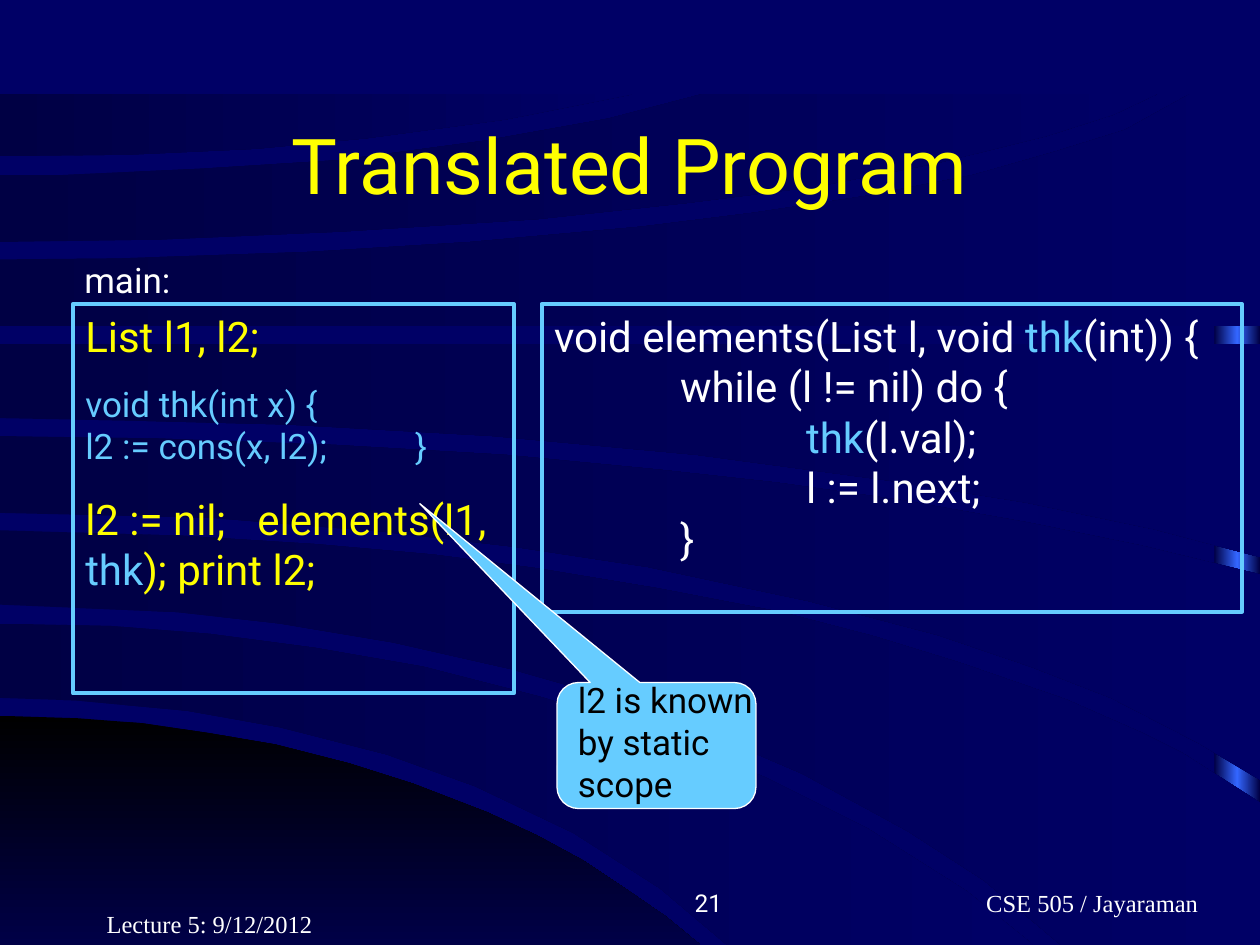
from copy import deepcopy
from dataclasses import dataclass

from lxml import etree
from pptx import Presentation
from pptx.dml.color import RGBColor
from pptx.enum.shapes import MSO_SHAPE
from pptx.enum.text import MSO_ANCHOR, MSO_AUTO_SIZE, PP_ALIGN
from pptx.oxml.ns import qn
from pptx.util import Cm, Pt

RECT = MSO_SHAPE.RECTANGLE
CALL = MSO_SHAPE.ROUNDED_RECTANGULAR_CALLOUT
LEFT, MID, RIGHT = PP_ALIGN.LEFT, PP_ALIGN.CENTER, PP_ALIGN.RIGHT
TOP, CENTER, BOTTOM = MSO_ANCHOR.TOP, MSO_ANCHOR.MIDDLE, MSO_ANCHOR.BOTTOM
FIXED = MSO_AUTO_SIZE.NONE

HUES = {
    "navy": "000066", "deep": "000044", "dusk": "000047", "black": "000000",
    "glow": "3366FF", "sky": "66CCFF", "gold": "FFFF00", "white": "FFFFFF",
}
SANS, SERIF = "Roboto", "Times New Roman"
WIDE, HIGH = 25.4, 19.05

# Outlines of the curved backdrop, in centimetres, from back to front
HILL = [
    (0, 14.43), (1.57, 14.48), (2.87, 14.58), (4.22, 14.78), (5.56, 15.01),
    (7.04, 15.39), (8.33, 15.8), (9.83, 16.38), (10.82, 16.84), (11.76, 17.35),
    (12.6, 17.91), (13.44, 18.49), (14.12, HIGH), (0, HIGH),
]
BANDS = [
    [(0, 12.57), (2.24, 12.62), (4.24, 12.78), (6.35, 13.06), (8.53, 13.44),
     (10.9, 14.05), (13.11, 14.73), (15.42, 15.67), (17.5, 16.71),
     (19.48, 17.96), (20.83, HIGH), (14.66, HIGH), (13.31, 17.91),
     (11.56, 16.79), (9.58, 15.85), (7.8, 15.21), (5.64, 14.66),
     (3.78, 14.33), (1.52, 14.12), (0, 14.07)],
    [(0, 10.69), (3.68, 10.8), (6.38, 10.97), (8.74, 11.18), (10.85, 11.46),
     (13.26, 11.86), (15.75, 12.34), (17.63, 12.83), (19.35, 13.36),
     (21.49, 14.1), (22.99, 14.76), (23.85, 15.19), (WIDE, 16.18),
     (WIDE, HIGH), (21.39, HIGH), (19.84, 17.75), (18.31, 16.76),
     (16.18, 15.6), (14.27, 14.78), (12.27, 14.05), (10.31, 13.49),
     (7.92, 12.95), (5.64, 12.57), (3.58, 12.34), (0, 12.19)],
    [(0, 8.79), (3.18, 8.84), (6.76, 8.97), (10.19, 9.17), (13.31, 9.47),
     (15.67, 9.73), (18.16, 10.08), (20.75, 10.54), (23.01, 11),
     (WIDE, 11.58), (WIDE, 15.72), (24.18, 14.99), (22.4, 14.07),
     (20.78, 13.44), (18.9, 12.8), (16.31, 12.12), (13.06, 11.43),
     (10.34, 11.02), (7.72, 10.72), (4.27, 10.44), (0, 10.34)],
    [(0, 6.93), (WIDE, 6.93), (WIDE, 11.23), (23.27, 10.67), (20.68, 10.13),
     (17.86, 9.68), (14.05, 9.17), (9.91, 8.79), (5.82, 8.56), (2.64, 8.48),
     (0, 8.43)],
    [(0, 5.23), (0, 6.58), (WIDE, 6.58), (WIDE, 1.9), (23.98, 1.9),
     (22.68, 2.62), (21.23, 3.07), (19.61, 3.53), (17.4, 3.96),
     (15.19, 4.29), (12.93, 4.57), (9.47, 4.88), (6.22, 5.08), (2.39, 5.21)],
    [(0, 3.53), (0, 4.88), (3.23, 4.83), (6.88, 4.67), (10.82, 4.42),
     (13.87, 4.09), (16.48, 3.76), (18.85, 3.3), (21.11, 2.74),
     (22.45, 2.31), (23.32, 1.9), (14.15, 1.9), (12.27, 2.39), (9.75, 2.84),
     (6.81, 3.23), (4.09, 3.4), (1.24, 3.53)],
    [(0, 1.9), (0, 3.15), (2.59, 3.12), (5.16, 3), (7.37, 2.79),
     (10.19, 2.41), (12.75, 1.9)],
]


@dataclass
class Para:
    """A paragraph: (text, hue) runs and its own spacing."""
    runs: list
    size: int = 24
    before: float = 0
    indent: float = 0
    tab: float = 0


def rgb(hue):
    """Look up a colour by name."""
    return RGBColor.from_string(HUES[hue])


def write(shape, paras, font=SANS, align=LEFT, anchor=TOP, wrap=True,
          left=0.25, right=0.25):
    """Fill a shape with formatted paragraphs."""
    frame = shape.text_frame
    frame.auto_size, frame.word_wrap = FIXED, wrap
    frame.vertical_anchor = anchor
    frame.margin_left, frame.margin_right = Cm(left), Cm(right)
    frame.margin_top = frame.margin_bottom = Cm(0.13)
    for i, item in enumerate(paras):
        para = frame.paragraphs[0] if i == 0 else frame.add_paragraph()
        para.alignment, para.space_before = align, Pt(item.before)
        props = para._p.get_or_add_pPr()
        if item.indent:
            props.set("marL", str(Cm(item.indent)))
        if item.tab:
            tabs = etree.SubElement(props, qn("a:tabLst"))
            etree.SubElement(tabs, qn("a:tab"), pos=str(Cm(item.tab)), algn="l")
        for text, hue in item.runs:
            run = para.add_run()
            run.text = text
            run.font.name, run.font.size = font, Pt(item.size)
            run.font.color.rgb = rgb(hue)


class Deck:
    """Holds the file, the current slide and the house style."""

    def __init__(self):
        """Open a deck with one titled slide on navy."""
        self.file = Presentation()
        self.file.slide_width, self.file.slide_height = Cm(WIDE), Cm(HIGH)
        self.slide = self.file.slides.add_slide(self.file.slide_layouts[5])
        ground = self.slide.background.fill
        ground.solid()
        ground.fore_color.rgb = rgb("navy")
        self.shapes = self.slide.shapes

    def blend(self, shape, hues, angle=0):
        """Give a shape an even gradient and no line."""
        shape.shadow.inherit = False
        shape.line.fill.background()
        shape.fill.gradient()
        shape.fill.gradient_angle = angle
        stops = shape._element.spPr.find(".//" + qn("a:gsLst"))
        for _ in hues[2:]:
            stops.insert(1, deepcopy(stops[0]))
        for i, (stop, hue) in enumerate(zip(shape.fill.gradient_stops, hues)):
            stop.color.rgb = rgb(hue)
            stop.position = i / (len(hues) - 1)

    def band(self, points, hues, angle=0):
        """Draw a closed outline with a gradient."""
        spots = [(Cm(x), Cm(y)) for x, y in points]
        pen = self.shapes.build_freeform(*spots[0])
        pen.add_line_segments(spots[1:], close=True)
        self.blend(pen.convert_to_shape(), hues, angle)

    def box(self, place, kind=RECT, fill=None, line="sky", width=2.25):
        """Draw a preset shape with a plain fill and line."""
        shape = self.shapes.add_shape(kind, *map(Cm, place))
        shape.shadow.inherit = False
        if fill:
            shape.fill.solid()
            shape.fill.fore_color.rgb = rgb(fill)
        else:
            shape.fill.background()
        shape.line.color.rgb, shape.line.width = rgb(line), Pt(width)
        return shape

    def text(self, place, paras, **style):
        """Place a text box."""
        write(self.shapes.add_textbox(*map(Cm, place)), paras, **style)

    def title(self, place, words):
        """Fill the title placeholder and bring it to the front."""
        head = self.shapes.title
        head.left, head.top, head.width, head.height = map(Cm, place)
        write(head, [Para([(words, "gold")], 44)], align=MID, anchor=CENTER)
        head._element.getparent().append(head._element)


deck = Deck()
strip = deck.box((24.48, 1.95, 0.92, 17.1))
deck.blend(strip, ["deep", "glow", "deep"])
deck.band(HILL, ["black", "dusk"], angle=270)
for points in BANDS:
    deck.band(points, ["deep", "navy"])

deck.title((1.9, 1.7, 21.6, 3.18), "Translated Program")
deck.text((1.45, 5.08, 2.36, 1.12), [Para([("main:", "white")], 20)], wrap=False)

main = deck.box((1.47, 6.13, 8.89, 7.85))
write(main, [
    Para([("List l1, l2;", "gold")]),
    Para([("void thk(int x) {", "sky")], 20, before=12.5),
    Para([("l2 := cons(x, l2);\t}", "sky")], 20, tab=6.65),
    Para([("l2 := nil;\telements(l1, ", "gold"), ("thk", "sky"),
          ("); print l2;", "gold")], before=15, tab=3.47),
])

loop = deck.box((10.92, 6.13, 14.12, 6.2))
write(loop, [
    Para([("void elements(List l, void ", "white"), ("thk", "sky"),
          ("(int)) {", "white")]),
    Para([("while (l != nil) do {", "white")], indent=2.54),
    Para([("thk", "sky"), ("(l.val);", "white")], indent=5.08),
    Para([("l := l.next;", "white")], indent=5.08),
    Para([("}", "white")], indent=2.54),
])

note = deck.box((11.23, 13.76, 4.01, 2.54), CALL, "sky", "white", 0.75)
for i, value in enumerate((-1.19, -1.92, 0.17)):
    note.adjustments[i] = value
deck.text((11.23, 13.54, 4.45, 2.8),
          [Para([(words, "black")], 20)
           for words in ("l2 is known", "by static", "scope")], left=0.42)

for place, words, style in (
    ((1.9, 17.78, 5.3, 1.27), "Lecture 5: 9/12/2012", {"font": SERIF}),
    ((9.53, 17.35, 5.28, 1.27), "21", {"align": RIGHT}),
    ((16.71, 17.35, 8.05, 1.27), "CSE 505 / Jayaraman",
     {"font": SERIF, "align": RIGHT, "right": 0.6}),
):
    deck.text(place, [Para([(words, "white")], 14)], anchor=BOTTOM, **style)

deck.file.save("out.pptx")
